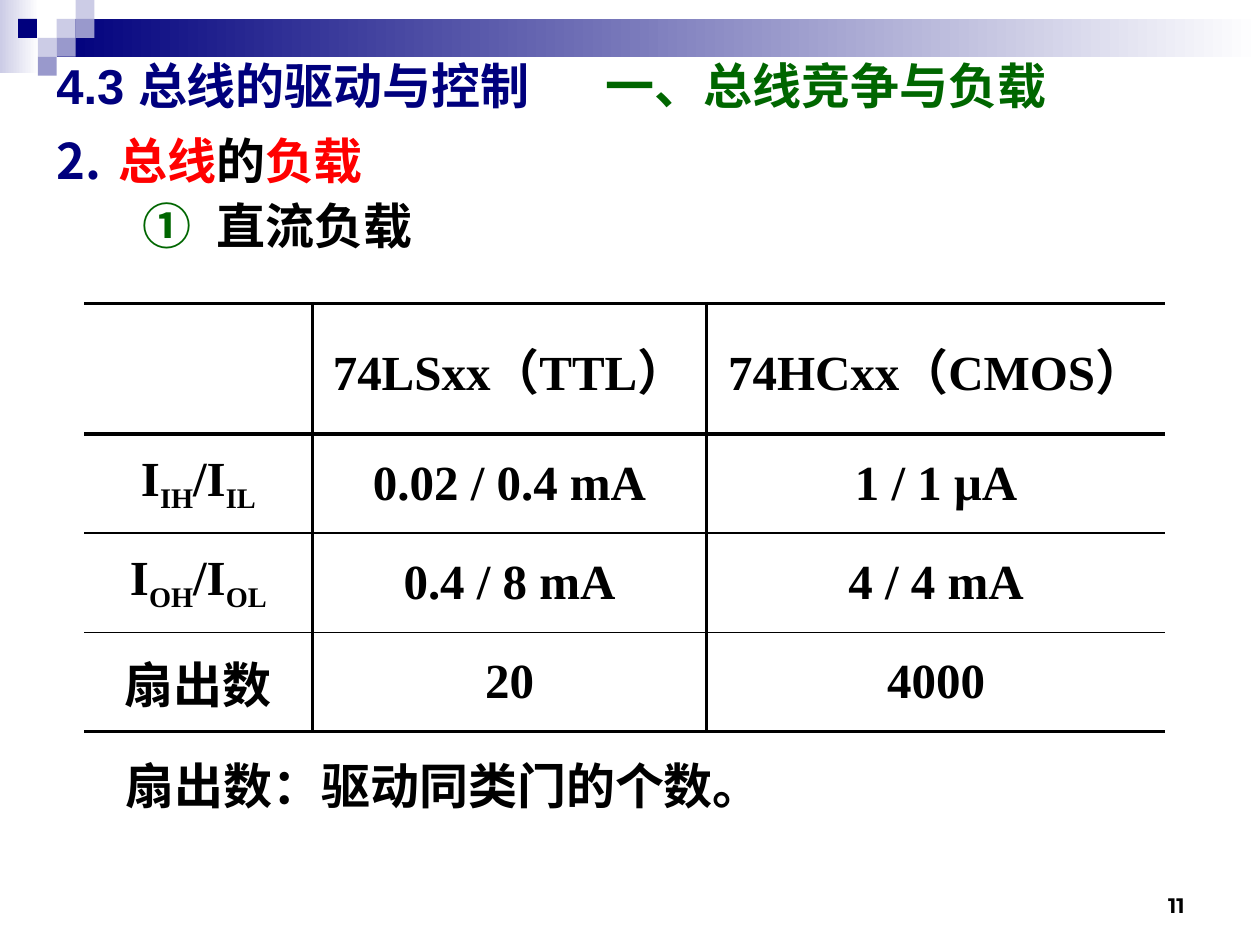
from lxml.etree import SubElement
from pptx import Presentation
from pptx.dml.color import RGBColor
from pptx.enum.shapes import MSO_SHAPE
from pptx.enum.text import MSO_ANCHOR, PP_ALIGN
from pptx.oxml.ns import qn
from pptx.util import Pt

NAVY = RGBColor(0x00, 0x00, 0x7D)
VIOLET = RGBColor(0x99, 0x99, 0xCC)
LILAC = RGBColor(0xCC, 0xCC, 0xE6)
WHITE = RGBColor(0xFF, 0xFF, 0xFF)
BLACK = RGBColor(0x00, 0x00, 0x00)
GREEN = RGBColor(0x00, 0x66, 0x00)
RED = RGBColor(0xFF, 0x00, 0x00)

SANS = "Arial"
SERIF = "Times New Roman"
THICK, THIN = 2.25, 1
TILE = 10.8

TILES = [
    (32.4, 10.8, LILAC), (43.2, 0, LILAC), (43.2, 10.8, VIOLET),
    (21.6, 21.6, LILAC), (10.3, 10.8, NAVY), (32.4, 21.6, VIOLET),
    (21.6, 32.4, VIOLET),
]
COLUMNS = [130.3, 225.4, 262.1]
ROW_HEIGHT = 56.7
ROWS = [
    [[], ["74LSxx（TTL）"], ["74HCxx（CMOS）"]],
    [["I", "IH", "/I", "IL"], ["0.02 / 0.4 mA"], ["1 / 1 μA"]],
    [["I", "OH", "/I", "OL"], ["0.4 / 8 mA"], ["4 / 4 mA"]],
    [["扇出数"], ["20"], ["4000"]],
]


def add_block(s, x, y, w, h, color, fade=False):
    sp = s.shapes.add_shape(MSO_SHAPE.RECTANGLE, Pt(x), Pt(y), Pt(w), Pt(h))
    sp.shadow.inherit = False
    sp.line.fill.background()
    if fade:
        sp.fill.gradient()
        sp.fill.gradient_angle = 0
        for stop, stop_color, position in zip(sp.fill.gradient_stops, (color, WHITE), (0, 1)):
            stop.color.rgb = stop_color
            stop.position = position
    else:
        sp.fill.solid()
        sp.fill.fore_color.rgb = color


def add_text_frame(s, x, y, w, h, anchor=MSO_ANCHOR.TOP):
    tf = s.shapes.add_textbox(Pt(x), Pt(y), Pt(w), Pt(h)).text_frame
    tf.word_wrap = True
    tf.vertical_anchor = anchor
    return tf


def add_run(p, text, color=BLACK, font=SANS, size=28):
    r = p.add_run()
    r.text = text
    r.font.name = font
    r.font.size = Pt(size)
    r.font.bold = True
    r.font.color.rgb = color
    return r


def add_tab(p, position):
    tabs = SubElement(p._p.get_or_add_pPr(), qn("a:tabLst"))
    SubElement(tabs, qn("a:tab"), pos=str(Pt(position)), algn="l")


def set_number(p, scheme, start, color, margin, indent):
    pPr = p._p.get_or_add_pPr()
    pPr.set("marL", str(Pt(margin)))
    pPr.set("indent", str(Pt(indent)))
    SubElement(SubElement(pPr, qn("a:buClr")), qn("a:srgbClr"), val=str(color))
    SubElement(pPr, qn("a:buFont"), typeface=SANS)
    SubElement(pPr, qn("a:buAutoNum"), type=scheme, startAt=str(start))


def set_borders(cell, widths):
    tcPr = cell._tc.get_or_add_tcPr()
    for side, width in zip("LRTB", widths):
        if width:
            ln = SubElement(tcPr, qn(f"a:ln{side}"), w=str(Pt(width)))
            fill = SubElement(ln, qn("a:solidFill"))
            SubElement(fill, qn("a:srgbClr"), val=str(BLACK))
        else:
            ln = SubElement(tcPr, qn(f"a:ln{side}"))
            SubElement(ln, qn("a:noFill"))


def add_load_table(s):
    frame = s.shapes.add_table(
        len(ROWS), len(COLUMNS), Pt(48.2), Pt(173.5),
        Pt(sum(COLUMNS)), Pt(ROW_HEIGHT * len(ROWS)))
    table = frame.table
    table.first_row = table.horz_banding = False
    for column, width in zip(table.columns, COLUMNS):
        column.width = Pt(width)
    for row in table.rows:
        row.height = Pt(ROW_HEIGHT)
    rules = [THICK, THICK, THIN, THIN, THICK]
    uprights = [0, THICK, THICK, 0]
    for i, row in enumerate(ROWS):
        for j, parts in enumerate(row):
            cell = table.cell(i, j)
            set_borders(cell, (uprights[j], uprights[j + 1], rules[i], rules[i + 1]))
            cell.fill.background()
            cell.vertical_anchor = MSO_ANCHOR.MIDDLE
            p = cell.text_frame.paragraphs[0]
            p.alignment = PP_ALIGN.CENTER
            for k, text in enumerate(parts):
                r = add_run(p, text, font=SERIF)
                if k % 2:
                    r.font._element.set("baseline", "-25000")


def add_header(s):
    add_block(s, 0, 0, 22.3, 41.8, LILAC, fade=True)
    add_block(s, 32.4, 10.8, 687.6, 21.6, NAVY, fade=True)
    for x, y, color in TILES:
        add_block(s, x, y, TILE, TILE, color)
    p = add_text_frame(s, 25.2, 25.9, 657.4, 45.4, MSO_ANCHOR.MIDDLE).paragraphs[0]
    add_tab(p, 314)
    add_run(p, "4.3 总线的驱动与控制\t", NAVY)
    add_run(p, "一、总线竞争与负载", GREEN)


def add_outline(s):
    tf = add_text_frame(s, 25.2, 71.3, 680.4, 453.6)
    p = tf.paragraphs[0]
    set_number(p, "arabicPeriod", 2, NAVY, 35.3, -35.3)
    for text, color in (("总线", RED), ("的", BLACK), ("负载", RED)):
        add_run(p, text, color, SERIF)
    p = tf.add_paragraph()
    p.level = 1
    p.space_before = Pt(3)
    set_number(p, "circleNumDbPlain", 1, GREEN, 91.4, -42.5)
    add_run(p, "直流负载", font=SERIF)


def main():
    prs = Presentation()
    prs.slide_width, prs.slide_height = Pt(720), Pt(540)
    s = prs.slides.add_slide(prs.slide_layouts[6])
    add_header(s)
    add_outline(s)
    p = add_text_frame(s, 516.2, 502.6, 167.8, 25.2, MSO_ANCHOR.BOTTOM).paragraphs[0]
    p.alignment = PP_ALIGN.RIGHT
    add_run(p, "11", font="Montserrat", size=12)
    add_load_table(s)
    p = add_text_frame(s, 64.8, 428.4, 442.1, 41).paragraphs[0]
    add_run(p, "扇出数：驱动同类门的个数。")
    prs.save("out.pptx")


if __name__ == "__main__":
    main()
